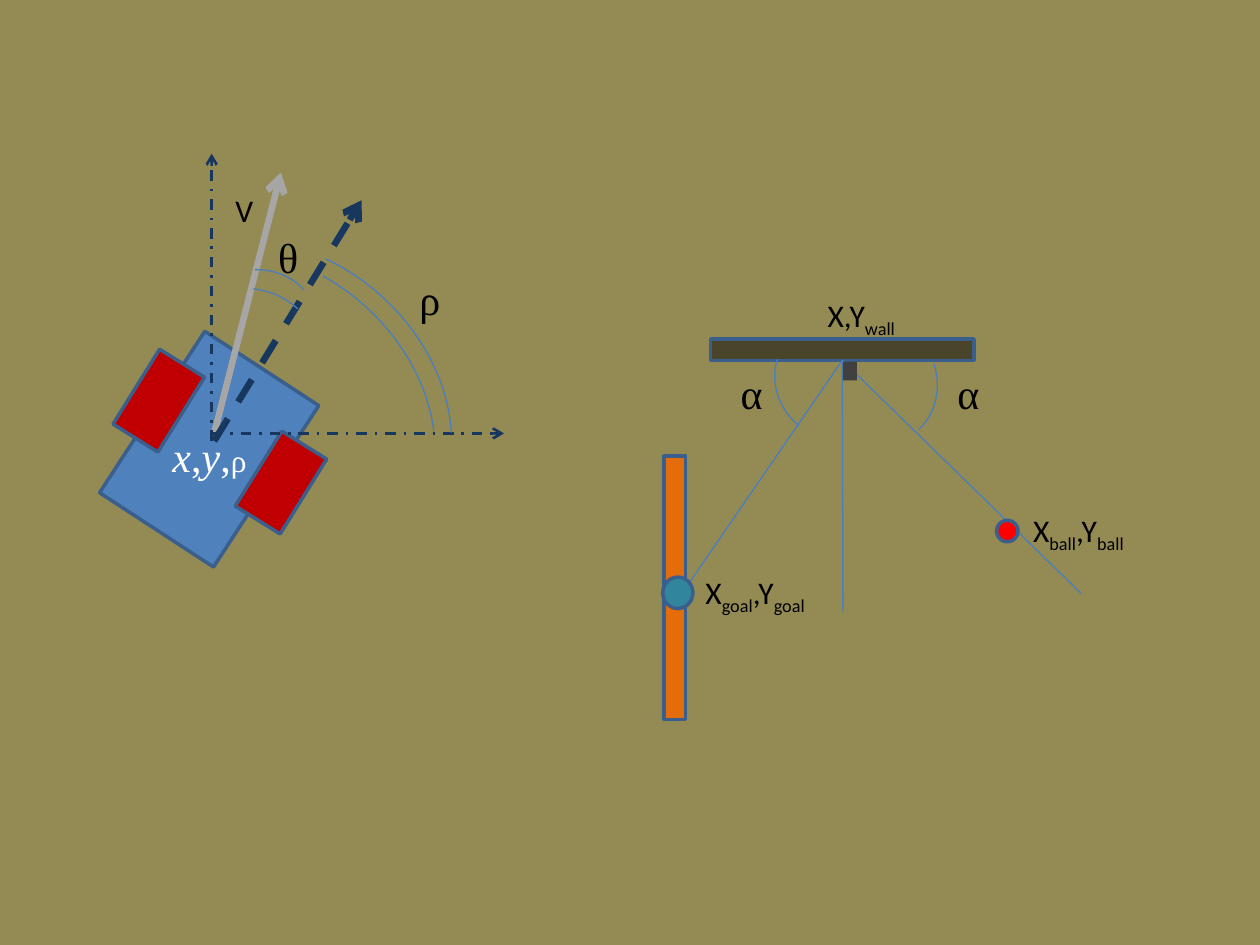
from lxml import etree
from pptx import Presentation
from pptx.dml.color import RGBColor
from pptx.enum.dml import MSO_LINE
from pptx.enum.shapes import MSO_CONNECTOR, MSO_SHAPE
from pptx.enum.text import MSO_AUTO_SIZE
from pptx.oxml.ns import qn
from pptx.util import Inches, Pt

RECT, OVAL, ARC = MSO_SHAPE.RECTANGLE, MSO_SHAPE.OVAL, MSO_SHAPE.ARC
STRAIGHT = MSO_CONNECTOR.STRAIGHT
DASH, DASH_DOT = MSO_LINE.DASH, MSO_LINE.DASH_DOT
FIT_SHAPE = MSO_AUTO_SIZE.SHAPE_TO_FIT_TEXT
SANS, SERIF = "Calibri", "Times New Roman"
BOTTOM = 2
COLORS = {
    "background": "948A54", "outline": "3A5F8C", "thin": "4B7EBC",
    "goal": "E46C0A", "goal_mark": "31859C", "wall": "4A452A",
    "camera": "404040", "ball": "FF0000", "body": "4F81BD",
    "wheel": "C00000", "velocity": "A6A6A6", "axis": "17375E",
    "black": "000000", "white": "FFFFFF",
}


def rgb(name):
    return RGBColor.from_string(COLORS[name])


def add_run(p, text, size=18, font=SANS, color="black", italic=False, sub=False):
    r = p.add_run()
    r.text = text
    r.font.size = Pt(size)
    r.font.name = font
    r.font.italic = italic
    r.font.color.rgb = rgb(color)
    if sub:
        r.font._element.set("baseline", "-25000")


class Diagram:
    """Draws styled shapes, arcs, lines and labels in groups on one slide."""

    def __init__(self, slide):
        self.slide = slide
        fill = slide.background.fill
        fill.solid()
        fill.fore_color.rgb = rgb("background")
        self.new_group()

    def new_group(self):
        self.shapes = self.slide.shapes.add_group_shape().shapes

    def shape(self, kind, box, fill=None, line="outline", width=2, rot=0):
        s = self.shapes.add_shape(kind, *map(Inches, box))
        s.shadow.inherit = False
        s.rotation = rot
        if fill:
            s.fill.solid()
            s.fill.fore_color.rgb = rgb(fill)
        else:
            s.fill.background()
        if line:
            s.line.color.rgb = rgb(line)
            s.line.width = Pt(width)
        else:
            s.line.fill.background()
        return s

    def arc(self, box, start, end, rot=0):
        s = self.shape(ARC, box, line="thin", width=0.75, rot=rot)
        s.adjustments[0], s.adjustments[1] = start, end

    def line(self, start, end, color="thin", width=0.75, dash=None, arrow=False, source=None):
        c = self.shapes.add_connector(STRAIGHT, *map(Inches, start + end))
        c.line.color.rgb = rgb(color)
        c.line.width = Pt(width)
        if dash:
            c.line.dash_style = dash
        if arrow:
            etree.SubElement(c.line._get_or_add_ln(), qn("a:tailEnd"), type="arrow")
        etree.SubElement(c._element.spPr, qn("a:effectLst"))
        if source is not None:
            c.begin_connect(source, BOTTOM)

    def label(self, box, *runs, wrap=False):
        tf = self.shapes.add_textbox(*map(Inches, box)).text_frame
        tf.word_wrap = wrap
        tf.auto_size = FIT_SHAPE
        for text, style in runs:
            add_run(tf.paragraphs[0], text, **style)

    def greek(self, box, letter):
        self.label(box, (letter, {"size": 24, "font": SERIF}))

    def position(self, left, top, *parts):
        runs = [(text, {"sub": i % 2 == 1}) for i, text in enumerate(parts)]
        self.label((left, top, 1.15, 0.4), *runs, wrap=True)


def draw_field(d):
    d.shape(RECT, (4.31, 4.58, 2.09, 0.17), "goal", rot=90)
    wall = d.shape(RECT, (5.64, 2.69, 2.09, 0.17), "wall")
    for end in ((6.69, 4.86), (5.44, 4.67), (8.58, 4.71)):
        d.line((6.69, 2.86), end, source=wall)
    d.shape(OVAL, (5.26, 4.58, 0.24, 0.25), "goal_mark")
    d.arc((6.13, 2.58, 0.99, 0.9), 161.19, 204.47, rot=220.3)
    for left in (5.78, 7.5):
        d.greek((left, 2.87, 0.38, 0.5), "α")
    d.shape(RECT, (6.69, 2.87, 0.11, 0.15), "camera", line=None)
    d.shape(OVAL, (7.91, 4.13, 0.17, 0.17), "ball")
    d.arc((6.49, 2.58, 0.99, 0.9), 161.19, 202.91, rot=72.9)
    d.position(5.5, 4.5, "X", "goal", ",Y", "goal")
    d.position(8.1, 4.01, "X", "ball", ",Y", "ball")
    d.position(6.47, 2.3, "X,Y", "wall")


def draw_robot(d):
    d.shape(RECT, (1.12, 2.8, 1.08, 1.53), "body", rot=33.1)
    for left, top in ((1.05, 2.83), (2.02, 3.48)):
        d.shape(RECT, (left, top, 0.42, 0.7), "wheel", rot=31.9)
    d.line((1.7, 3.44), (2.23, 1.37), "velocity", 3.75, arrow=True)
    d.line((1.7, 3.5), (2.87, 1.59), "axis", 3.75, DASH, arrow=True)
    d.label((1.77, 1.47, 0.35, 0.4), ("V", {}))
    d.arc((1.54, 2.14, 0.99, 0.9), 161.19, 193.6)
    d.arc((1.36, 2.29, 1.17, 1.07), 166.21, 190.94)
    d.greek((2.11, 1.79, 0.36, 0.5), "θ")
    for start, end in (((1.68, 3.5), (1.68, 1.22)), ((1.68, 3.44), (4, 3.44))):
        d.line(start, end, "axis", 1.5, DASH_DOT, arrow=True)
    d.arc((0.8, 2.05, 2.91, 2.29), 146.87, 197.27, rot=41.4)
    d.arc((0.67, 2.13, 2.91, 2.29), 150.33, 195, rot=41.4)
    d.greek((3.23, 2.12, 0.37, 0.5), "ρ")
    pose = {"size": 24, "font": SERIF, "color": "white"}
    italic = {**pose, "italic": True}
    d.label((1.27, 3.37, 0.81, 0.5), ("x", italic), (",", pose), ("y", italic),
            (",", pose), ("ρ", {**pose, "size": 18}))


def main():
    prs = Presentation()
    prs.slide_width, prs.slide_height = Inches(10), Inches(7.5)
    d = Diagram(prs.slides.add_slide(prs.slide_layouts[6]))
    draw_field(d)
    d.new_group()
    draw_robot(d)
    prs.save("out.pptx")


if __name__ == "__main__":
    main()
